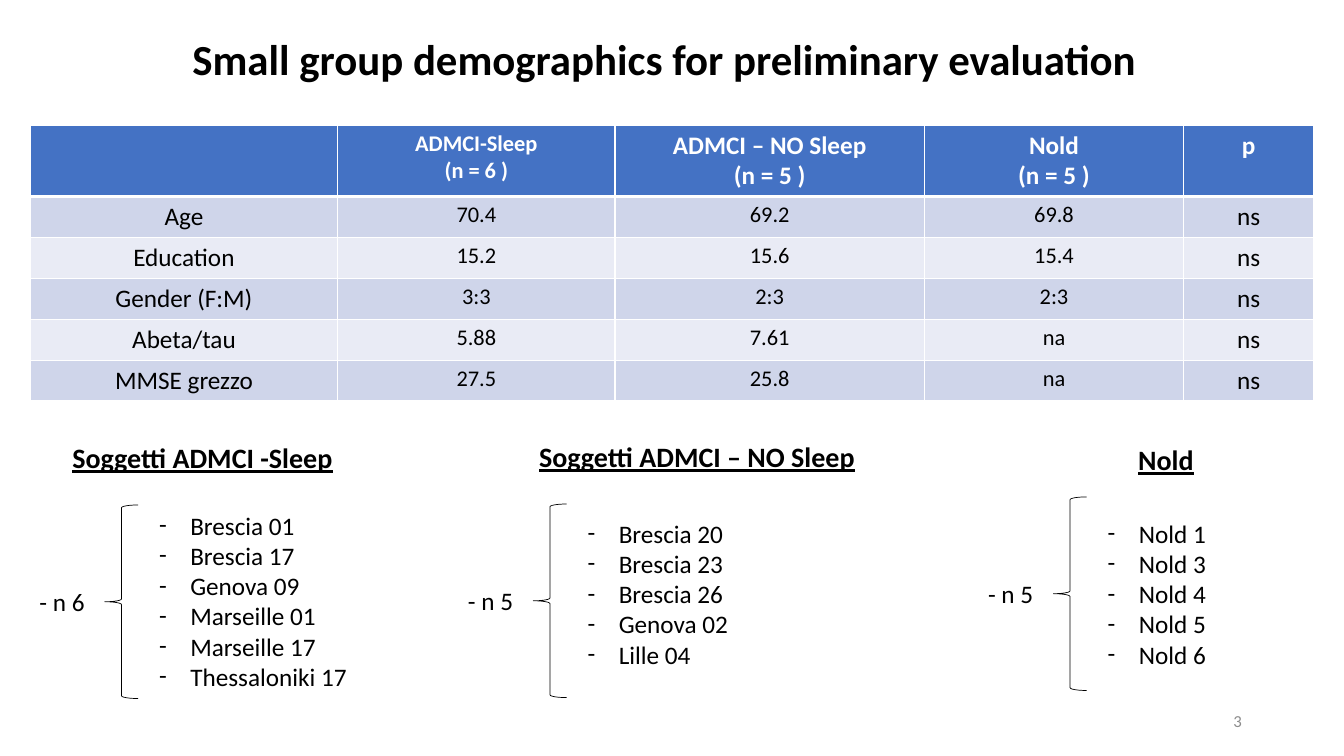
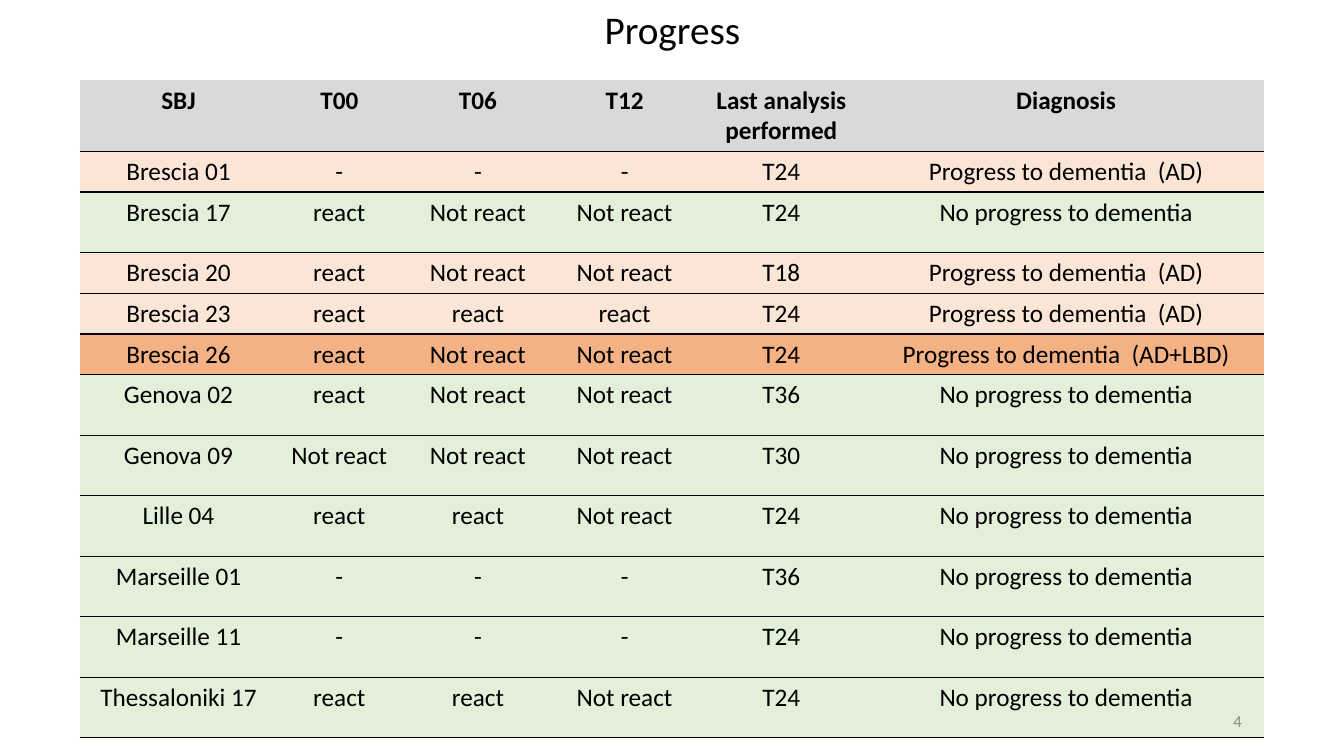
from lxml.etree import SubElement
from pptx import Presentation
from pptx.dml.color import RGBColor
from pptx.enum.shapes import MSO_SHAPE
from pptx.enum.text import MSO_ANCHOR, PP_ALIGN
from pptx.oxml.ns import qn
from pptx.util import Inches, Pt

WIDTH, HEIGHT = Inches(13.33), Inches(7.5)
FONT = "Calibri"
COLORS = {
    "ink": "000000", "white": "FFFFFF", "number": "8C8C8C",
    "header": "4472C4", "band_dark": "CFD5EA", "band_light": "E9EBF5",
    "gray": "D9D9D9", "progress": "FBE5D6", "mixed": "F4B183", "stable": "E2F0D9",
}
NO_GRID_STYLE = "{2D5ABB26-0587-4C30-8999-92F81FD0307C}"
SIDES = {"left": "a:lnL", "right": "a:lnR", "top": "a:lnT", "bottom": "a:lnB"}
SHORT_ROW, TALL_ROW, HEADER_ROW = 5.4, 8, 9.4

DEMOGRAPHICS_COLUMNS = [22.88, 20.63, 23.03, 19.28, 9.68]
DEMOGRAPHICS = [
    ["", "ADMCI-Sleep\n(n = 6 )", "ADMCI – NO Sleep\n(n = 5 )", "Nold\n(n = 5 )", "p"],
    ["Age", "70.4", "69.2", "69.8", "ns"],
    ["Education", "15.2", "15.6", "15.4", "ns"],
    ["Gender (F:M)", "3:3", "2:3", "2:3", "ns"],
    ["Abeta/tau", "5.88", "7.61", "na", "ns"],
    ["MMSE grezzo", "27.5", "25.8", "na", "ns"],
]

GROUPS = [
    {"heading": "Soggetti ADMCI -Sleep", "heading_box": (4.65, 57.6, 22, 5.87),
     "align": PP_ALIGN.LEFT, "brace": (7.8, 66.8), "list_top": 66.8,
     "members": ["Brescia 01", "Brescia 17", "Genova 09", "Marseille 01",
                 "Marseille 17", "Thessaloniki 17"]},
    {"heading": "Soggetti ADMCI – NO Sleep", "heading_box": (39.38, 57.47, 26, 5.87),
     "align": PP_ALIGN.LEFT, "brace": (39.68, 66.67), "list_top": 67.87,
     "members": ["Brescia 20", "Brescia 23", "Brescia 26", "Genova 02", "Lille 04"]},
    {"heading": "Nold", "heading_box": (75.75, 57.87, 22, 5.87),
     "align": PP_ALIGN.CENTER, "brace": (78.38, 65.73), "list_top": 67.87,
     "members": ["Nold 1", "Nold 3", "Nold 4", "Nold 5", "Nold 6"]},
]

PROGRESS_COLUMNS = [14.7, 9.23, 11.4, 10.43, 12.9, 29.48]
PROGRESS_HEADER = ["SBJ", "T00", "T06", "T12", "Last analysis performed", "Diagnosis"]
DIAGNOSES = {
    "progress": "Progress to dementia  (AD)",
    "mixed": "Progress to dementia  (AD+LBD)",
    "stable": "No progress to dementia",
}
REACTIONS = {"-": "-", "R": "react", "N": "Not react"}
SUBJECTS = [
    ("Brescia 01", "---", "T24", "progress"),
    ("Brescia 17", "RNN", "T24", "stable"),
    ("Brescia 20", "RNN", "T18", "progress"),
    ("Brescia 23", "RRR", "T24", "progress"),
    ("Brescia 26", "RNN", "T24", "mixed"),
    ("Genova 02", "RNN", "T36", "stable"),
    ("Genova 09", "NNN", "T30", "stable"),
    ("Lille 04", "RRN", "T24", "stable"),
    ("Marseille 01", "---", "T36", "stable"),
    ("Marseille 11", "---", "T24", "stable"),
    ("Thessaloniki 17", "RRN", "T24", "stable"),
]


def across(percent):
    return round(WIDTH * percent / 100)


def down(percent):
    return round(HEIGHT * percent / 100)


def place(box):
    left, top, width, height = box
    return across(left), down(top), across(width), down(height)


def color(name):
    return RGBColor.from_string(COLORS[name])


def set_attributes(target, values):
    for name, value in values.items():
        setattr(target, name, value)


def add_dash(paragraph):
    properties = paragraph._p.get_or_add_pPr()
    indent = Inches(0.31)
    properties.set("marL", str(indent))
    properties.set("indent", str(-indent))
    SubElement(properties, qn("a:buFont"), typeface=FONT)
    SubElement(properties, qn("a:buChar"), char="-")


def write_lines(frame, lines, ink="ink", size=18, bold=False, underline=False,
                dashed=False, **paragraph_format):
    font_format = {"name": FONT, "size": Pt(size), "bold": bold, "underline": underline}
    for index, line in enumerate(lines):
        paragraph = frame.add_paragraph() if index else frame.paragraphs[0]
        set_attributes(paragraph, paragraph_format)
        if dashed:
            add_dash(paragraph)
        set_attributes(paragraph.font, font_format)
        paragraph.font.color.rgb = color(ink)
        if line:
            run = paragraph.add_run()
            run.text = line
            set_attributes(run.font, font_format)
            run.font.color.rgb = color(ink)


def add_text(slide, box, lines, anchor=MSO_ANCHOR.TOP, wrap=True, **text_format):
    frame = slide.shapes.add_textbox(*place(box)).text_frame
    set_attributes(frame, {"word_wrap": wrap, "vertical_anchor": anchor})
    write_lines(frame, lines, **text_format)


def add_slide_number(slide, number):
    add_text(slide, (70.65, 92.67, 22.5, 5.33), [number], anchor=MSO_ANCHOR.MIDDLE,
             ink="number", size=12, alignment=PP_ALIGN.RIGHT)


def add_brace(slide, left, top):
    brace = slide.shapes.add_shape(MSO_SHAPE.LEFT_BRACE, *place((left, top, 2.48, 25.6)))
    brace.shadow.inherit = False
    brace.fill.background()
    brace.line.color.rgb = color("ink")
    brace.line.width = Pt(0.5)


def add_group(slide, group):
    left, top = group["brace"]
    members = group["members"]
    add_text(slide, group["heading_box"], [group["heading"]], size=20, bold=True,
             underline=True, alignment=group["align"])
    add_text(slide, (left - 5.6, top + 10.13, 5.78, 5.33), [f"- n {len(members)}"])
    add_brace(slide, left, top)
    add_text(slide, (left + 3.3, group["list_top"], 15.6, 1.33 + 4.05 * len(members)),
             members, dashed=True)


def set_borders(cell, borders):
    properties = cell._tc.get_or_add_tcPr()
    for side, tag in SIDES.items():
        if side in borders:
            ink, points = borders[side]
            line = SubElement(properties, qn(tag), w=str(Pt(points)))
            fill = SubElement(line, qn("a:solidFill"))
            SubElement(fill, qn("a:srgbClr"), val=COLORS[ink])
        else:
            line = SubElement(properties, qn(tag), w="0")
            SubElement(line, qn("a:noFill"))


def add_grid(slide, corner, column_widths, row_heights, rows, style_cell):
    box = (*corner, sum(column_widths), sum(row_heights))
    table = slide.shapes.add_table(len(rows), len(column_widths), *place(box)).table
    set_attributes(table, {"first_row": False, "horz_banding": False})
    table._tbl.tblPr.find(qn("a:tableStyleId")).text = NO_GRID_STYLE
    for column, width in zip(table.columns, column_widths):
        column.width = across(width)
    for row, height in zip(table.rows, row_heights):
        row.height = down(height)
    for row_index, texts in enumerate(rows):
        for column_index, text in enumerate(texts):
            cell = table.cell(row_index, column_index)
            fill, borders, text_format = style_cell(row_index, column_index)
            set_borders(cell, borders)
            cell.fill.solid()
            cell.fill.fore_color.rgb = color(fill)
            write_lines(cell.text_frame, text.split("\n"),
                        alignment=PP_ALIGN.CENTER, **text_format)


def style_demographics(row, column):
    borders = dict.fromkeys(SIDES, ("white", 1))
    if row <= 1:
        borders["top" if row else "bottom"] = ("white", 3)
    if row == 0:
        return "header", borders, {"ink": "white", "bold": True,
                                   "size": 16 if column == 1 else 18}
    fill = "band_dark" if row % 2 else "band_light"
    return fill, borders, {"size": 16 if column in (1, 2, 3) else 18}


def style_progress(row, column):
    line = ("ink", 1)
    if row == 0:
        return "gray", {"bottom": line}, {"bold": True}
    return SUBJECTS[row - 1][-1], {"top": line, "bottom": line}, {}


def build_demographics(slide):
    add_grid(slide, (2.25, 16.53), DEMOGRAPHICS_COLUMNS,
             [HEADER_ROW] + [SHORT_ROW] * (len(DEMOGRAPHICS) - 1),
             DEMOGRAPHICS, style_demographics)
    add_text(slide, (13.58, 3.6, 72.84, 9.2),
             ["Small group demographics for preliminary evaluation"],
             anchor=MSO_ANCHOR.MIDDLE, size=30.6, bold=True, line_spacing=0.9)
    for group in GROUPS:
        add_group(slide, group)
    add_slide_number(slide, "3")


def build_progress(slide):
    add_text(slide, (44.18, 0, 11.7, 7.6), ["Progress"], wrap=False, size=28,
             alignment=PP_ALIGN.CENTER)
    rows = [PROGRESS_HEADER]
    heights = [HEADER_ROW]
    for subject, reactions, last_analysis, outcome in SUBJECTS:
        rows.append([subject, *(REACTIONS[code] for code in reactions),
                     last_analysis, DIAGNOSES[outcome]])
        heights.append(TALL_ROW if outcome == "stable" else SHORT_ROW)
    add_grid(slide, (5.93, 10.6), PROGRESS_COLUMNS, heights, rows, style_progress)
    add_slide_number(slide, "4")


def main():
    presentation = Presentation()
    set_attributes(presentation, {"slide_width": WIDTH, "slide_height": HEIGHT})
    for build in (build_demographics, build_progress):
        build(presentation.slides.add_slide(presentation.slide_layouts[6]))
    presentation.save("out.pptx")


if __name__ == "__main__":
    main()
